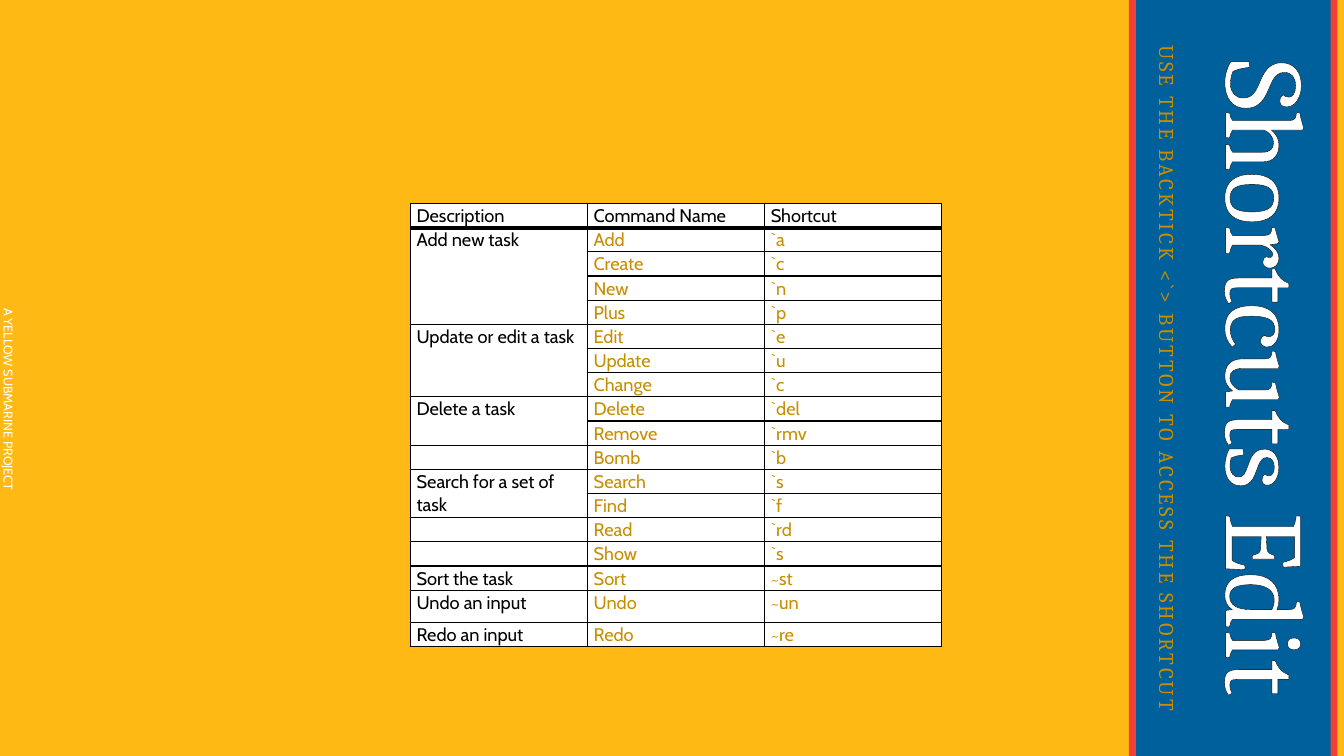
from lxml import etree
from pptx import Presentation
from pptx.dml.color import RGBColor
from pptx.enum.shapes import MSO_SHAPE
from pptx.enum.text import MSO_ANCHOR, MSO_AUTO_SIZE, PP_ALIGN
from pptx.oxml.ns import qn
from pptx.util import Pt

RECTANGLE = MSO_SHAPE.RECTANGLE
CENTER = PP_ALIGN.CENTER
TOP, MIDDLE, BOTTOM = MSO_ANCHOR.TOP, MSO_ANCHOR.MIDDLE, MSO_ANCHOR.BOTTOM
NO_AUTOFIT = MSO_AUTO_SIZE.NONE

YELLOW = RGBColor(0xFE, 0xB9, 0x14)
BLUE = RGBColor(0x00, 0x60, 0x9C)
RED = RGBColor(0xEF, 0x41, 0x36)
GOLD = RGBColor(0xC7, 0x8E, 0x01)
WHITE = RGBColor(0xFF, 0xFF, 0xFF)
BLACK = RGBColor(0x00, 0x00, 0x00)

SERIF, SANS = "Cambria", "Cabin"
SLIDE_WIDTH, SLIDE_HEIGHT = 960, 540
TABLE_LEFT, TABLE_TOP, COLUMN_WIDTH = 293, 145.4, 126.5
ROW_HEIGHT, UNDO_ROW_HEIGHT = 17.27, 23.2
CELL_TEXT_SIZE = 13

HEADINGS = ("Description", "Command Name", "Shortcut")
# Each description covers the commands listed beside it
COMMAND_GROUPS = [
    ("Add new task", [("Add", "`a"), ("Create", "`c"), ("New", "`n"), ("Plus", "`p")]),
    ("Update or edit a task", [("Edit", "`e"), ("Update", "`u"), ("Change", "`c")]),
    ("Delete a task", [("Delete", "`del"), ("Remove", "`rmv")]),
    ("", [("Bomb", "`b")]),
    ("Search for a set of task", [("Search", "`s"), ("Find", "`f")]),
    ("", [("Read", "`rd")]),
    ("", [("Show", "`s")]),
    ("Sort the task", [("Sort", "~st")]),
    ("Undo an input", [("Undo", "~un")]),
    ("Redo an input", [("Redo", "~re")]),
]


def add_span(para, text, size, font, color):
    span = para.add_run()
    span.text = text
    span.font.size = Pt(size)
    span.font.name = font
    span.font.color.rgb = color
    return span


def make_line(tag, width):
    line = etree.Element(qn(tag), w=str(Pt(width)))
    fill = etree.SubElement(line, qn("a:solidFill"))
    etree.SubElement(fill, qn("a:srgbClr"), val=str(BLACK))
    return line


def add_bar(page, left, width, color):
    bar = page.shapes.add_shape(RECTANGLE, Pt(left), Pt(0), Pt(width), Pt(SLIDE_HEIGHT))
    bar.shadow.inherit = False
    bar.fill.solid()
    bar.fill.fore_color.rgb = color
    bar.line.fill.background()
    return bar


def turn_text_box(box, left, top, width, height, anchor):
    """Place a text frame reading downwards and return its centred paragraph."""
    box.left, box.top, box.width, box.height = Pt(left), Pt(top), Pt(width), Pt(height)
    box.rotation = 90
    frame = box.text_frame
    frame.word_wrap = True
    frame.auto_size = NO_AUTOFIT
    frame.vertical_anchor = anchor
    para = frame.paragraphs[0]
    para.alignment = CENTER
    return para


def add_title(page):
    para = turn_text_box(page.shapes.title, 638, 217.4, 540, 105, BOTTOM)
    para.line_spacing = 0.85
    span = add_span(para, "Shortcuts Edit", 80, SERIF, WHITE)
    properties = span.font._element
    properties.set("spc", "-50")
    properties.insert(0, make_line("a:ln", 0.75))


def add_subtitle(page):
    para = turn_text_box(page.placeholders[1], 558.7, 257, 540, 26, TOP)
    para.line_spacing = 0.7
    para.space_before, para.space_after = Pt(12), Pt(2)
    properties = para._p.get_or_add_pPr()
    properties.set("marL", "0")
    properties.set("indent", "0")
    etree.SubElement(properties, qn("a:buNone"))
    span = add_span(para, "USE THE BACKTICK <`> BUTTON TO ACCESS THE SHORTCUT", 15, SERIF, GOLD)
    span.font._element.set("spc", "200")


def add_project_name(page):
    box = page.shapes.add_textbox(Pt(0), Pt(0), Pt(0), Pt(0))
    para = turn_text_box(box, -183.6, 270.7, 379.4, 28.8, MIDDLE)
    add_span(para, "A YELLOW SUBMARINE PROJECT", 9, SANS, WHITE)


def format_cell(cell, top_line, bottom_line):
    cell.margin_left = cell.margin_right = Pt(4.6)
    cell.margin_top = cell.margin_bottom = Pt(0)
    cell.fill.solid()
    cell.fill.fore_color.rgb = WHITE
    properties = cell._tc.get_or_add_tcPr()
    borders = (("a:lnL", 1), ("a:lnR", 1), ("a:lnT", top_line), ("a:lnB", bottom_line))
    for position, (tag, width) in enumerate(borders):
        properties.insert(position, make_line(tag, width))


def fill_cell(cell, text, color):
    para = cell.text_frame.paragraphs[0]
    para.line_spacing = 1.07
    if text:
        add_span(para, text, CELL_TEXT_SIZE, SANS, color)
    else:
        # Keeps an empty cell from stretching its row
        etree.SubElement(para._p, qn("a:endParaRPr"), sz=str(CELL_TEXT_SIZE * 100))


def add_shortcut_table(page):
    rows = [HEADINGS]
    merges = []
    for description, commands in COMMAND_GROUPS:
        first = len(rows)
        for index, command in enumerate(commands):
            rows.append((description if index == 0 else "", *command))
        if len(commands) > 1:
            merges.append((first, len(rows) - 1))

    heights = [UNDO_ROW_HEIGHT if row[1] == "Undo" else ROW_HEIGHT for row in rows]
    table = page.shapes.add_table(
        len(rows), len(HEADINGS), Pt(TABLE_LEFT), Pt(TABLE_TOP),
        Pt(COLUMN_WIDTH * len(HEADINGS)), Pt(sum(heights))).table
    table.first_row = table.horz_banding = False
    for column in table.columns:
        column.width = Pt(COLUMN_WIDTH)

    for row_index, row in enumerate(rows):
        table.rows[row_index].height = Pt(heights[row_index])
        top_line = 3 if row_index == 1 else 1
        bottom_line = 3 if row_index == 0 else 1
        for column_index, text in enumerate(row):
            cell = table.cell(row_index, column_index)
            format_cell(cell, top_line, bottom_line)
            fill_cell(cell, text, GOLD if row_index and column_index else BLACK)
    for first, last in merges:
        table.cell(first, 0).merge(table.cell(last, 0))


def main():
    deck = Presentation()
    deck.slide_width, deck.slide_height = Pt(SLIDE_WIDTH), Pt(SLIDE_HEIGHT)
    page = deck.slides.add_slide(deck.slide_layouts[1])
    page.background.fill.solid()
    page.background.fill.fore_color.rgb = YELLOW

    # Side band with its red edges, kept behind the title
    bars = ((810, 142.5, BLUE), (950.4, 5, RED), (806.4, 5, RED))
    for position, bar in enumerate(bars, start=2):
        page.shapes._spTree.insert(position, add_bar(page, *bar)._element)

    # Turned texts
    add_title(page)
    add_subtitle(page)
    add_project_name(page)

    # Shortcut list
    add_shortcut_table(page)
    deck.save("out.pptx")


if __name__ == "__main__":
    main()
